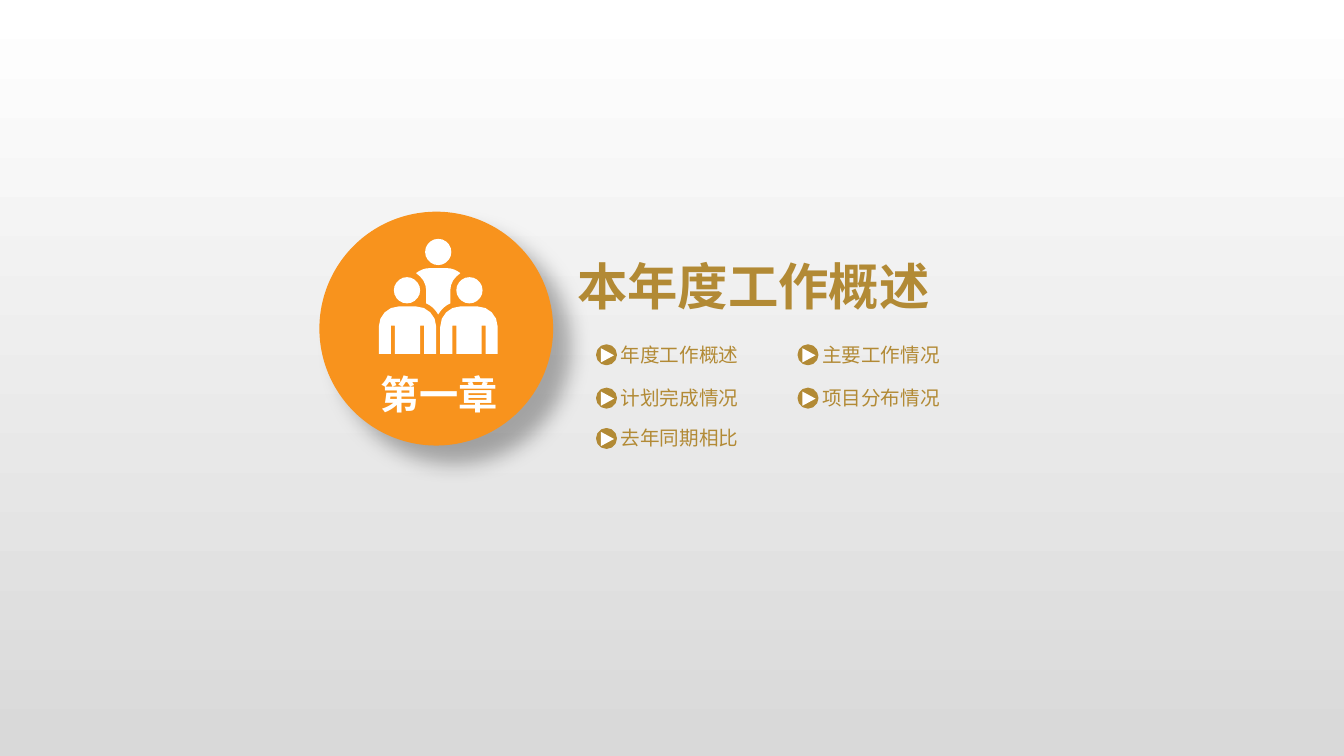
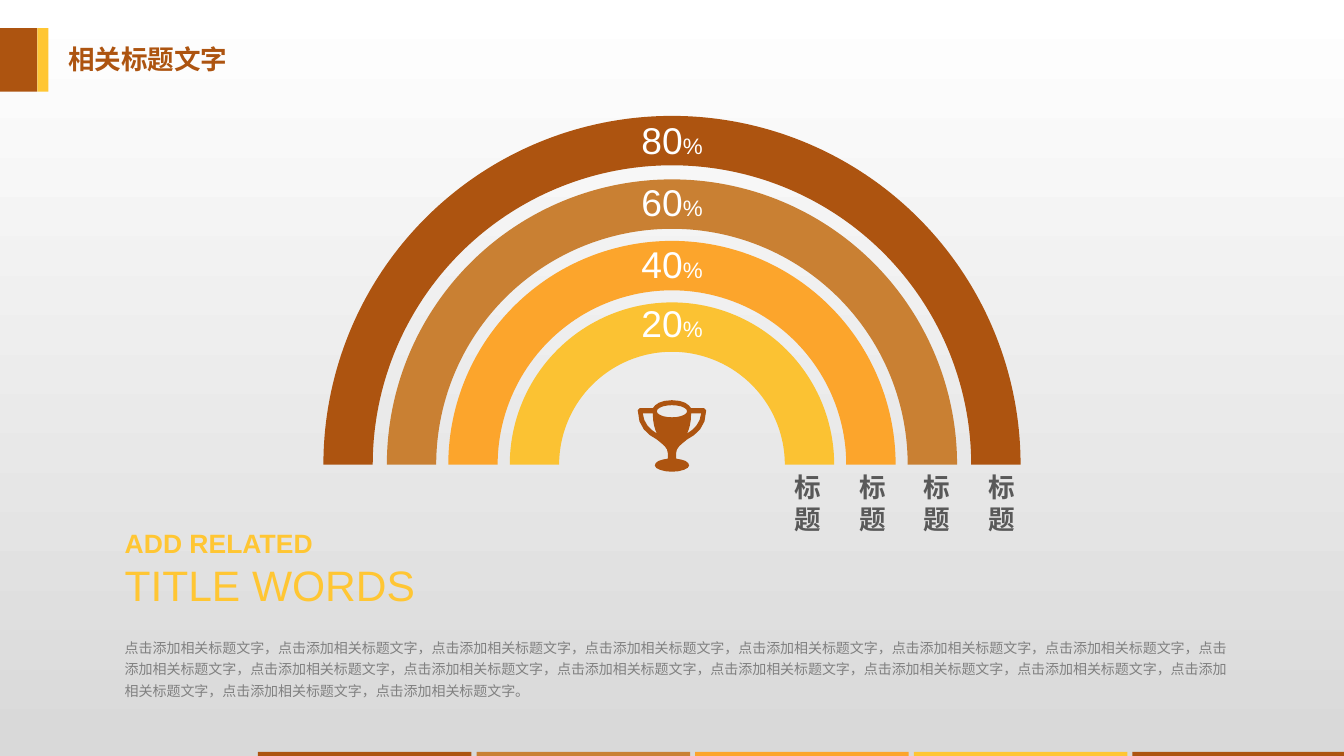
from math import cos, pi, sin

from lxml import etree
from pptx import Presentation
from pptx.dml.color import RGBColor
from pptx.enum.shapes import MSO_SHAPE
from pptx.enum.text import MSO_ANCHOR, PP_ALIGN
from pptx.oxml.ns import qn
from pptx.util import Inches, Pt

# Shared look
WIDTH, HEIGHT = 13.34, 7.5
WHITE = RGBColor(0xFF, 0xFF, 0xFF)
PALE_GRAY = RGBColor(0xD9, 0xD9, 0xD9)
MID_GRAY = RGBColor(0x80, 0x80, 0x80)
DARK_GRAY = RGBColor(0x59, 0x59, 0x59)
BADGE_ORANGE = RGBColor(0xF8, 0x93, 0x1D)
GOLD = RGBColor(0xB2, 0x8A, 0x35)
BROWN = RGBColor(0xAD, 0x54, 0x10)
TAN = RGBColor(0xC9, 0x80, 0x33)
ORANGE = RGBColor(0xFC, 0xA5, 0x2C)
ARCH_YELLOW = RGBColor(0xFB, 0xC2, 0x33)
YELLOW = RGBColor(0xFF, 0xC6, 0x33)
SANS, CJK = "Arial", "Noto Sans CJK SC"

# Content
CHAPTER, CHAPTER_TITLE = "第一章", "本年度工作概述"
TOPIC_ROWS = [
    (3.40, ["年度工作概述", "主要工作情况"]),
    (3.83, ["计划完成情况", "项目分布情况"]),
    (4.23, ["去年同期相比"]),
]
PAGE_TITLE = "相关标题文字"
ARCHES = [  # value, top of the value, outer radius, colour
    ("80", 1.11, 3.46, BROWN),
    ("60", 1.73, 2.83, TAN),
    ("40", 2.34, 2.22, ORANGE),
    ("20", 2.93, 1.61, ARCH_YELLOW),
]
ARCH_LABELS = ["标题"] * 4
HEADING = ("ADD RELATED", "TITLE WORDS")
BODY = "，".join(["点击添加相关标题文字"] * 17) + "。"
FOOTER_COLORS = [BROWN, TAN, ORANGE, YELLOW, BROWN]

# Icon outlines: a pair is a corner, six numbers are a Bézier curve
PEOPLE_AXIS = 4.35
SITTER = [
    (3.76, 3.51), (3.76, 3.24), (3.76, 3.13, 3.85, 3.04, 3.96, 3.04),
    (4.13, 3.04), (4.24, 3.04, 4.33, 3.13, 4.33, 3.24), (4.33, 3.51),
    (4.21, 3.51), (4.21, 3.23), (4.17, 3.23), (4.17, 3.51),
    (3.92, 3.51), (3.92, 3.23), (3.88, 3.23), (3.88, 3.51),
]
LEADER_HALF = [
    (4.35, 2.66), (4.27, 2.66), (4.21, 2.66, 4.17, 2.68, 4.13, 2.71),
    (4.19, 2.75, 4.23, 2.81, 4.23, 2.88), (4.23, 3.01),
    (4.28, 3.03, 4.32, 3.07, 4.35, 3.12),
]
TROPHY_AXIS = 6.67
TROPHY_HALF = [
    (6.67, 3.97), (6.78, 3.97, 6.84, 4.01, 6.86, 4.05), (6.99, 4.05),
    (7.01, 4.07), (7.01, 4.24, 6.91, 4.31, 6.82, 4.36),
    (6.76, 4.41, 6.71, 4.44, 6.71, 4.50), (6.71, 4.55),
    (6.79, 4.56, 6.84, 4.58, 6.84, 4.62),
    (6.84, 4.65, 6.76, 4.68, 6.67, 4.68),
]
TROPHY_HANDLE = [
    (6.82, 4.30), (6.84, 4.26, 6.86, 4.19, 6.86, 4.10), (6.96, 4.10),
    (6.95, 4.20, 6.89, 4.26, 6.82, 4.30),
]


# Outline helpers
def trace(outline, steps=4):
    points = []
    for item in outline:
        if len(item) == 2:
            points.append(item)
            continue
        (x0, y0), (x1, y1, x2, y2, x3, y3) = points[-1], item
        for step in range(1, steps + 1):
            t = step / steps
            a, b, c, d = (1 - t) ** 3, 3 * t * (1 - t) ** 2, 3 * t * t * (1 - t), t ** 3
            points.append((a * x0 + b * x1 + c * x2 + d * x3,
                           a * y0 + b * y1 + c * y2 + d * y3))
    return points


def mirror(points, axis):
    return [(2 * axis - x, y) for x, y in reversed(points)]


def oval(x, y, radius_x, radius_y, steps=20):
    angles = [2 * pi * step / steps for step in range(steps)]
    return [(x + radius_x * cos(angle), y + radius_y * sin(angle)) for angle in angles]


# Drawing helpers
def paint(shape, color):
    shape.shadow.inherit = False
    shape.fill.solid()
    shape.fill.fore_color.rgb = color
    shape.line.fill.background()
    return shape


def add_shape(page, kind, left, top, width, height, color):
    shape = page.shapes.add_shape(
        kind, Inches(left), Inches(top), Inches(width), Inches(height))
    return paint(shape, color)


def add_icon(page, contours, color):
    units = 1000
    scaled = [[(x * units, y * units) for x, y in points] for points in contours]
    builder = page.shapes.build_freeform(*scaled[0][0], scale=Inches(1) / units)
    for index, points in enumerate(scaled):
        if index:
            builder.move_to(*points[0])
        builder.add_line_segments(points[1:], close=True)
    return paint(builder.convert_to_shape(), color)


def add_text(page, at, paragraphs, *, size=18, color=WHITE, font=SANS, bold=False,
             align=PP_ALIGN.LEFT, anchor=MSO_ANCHOR.TOP, inset=None, wrap=True,
             spacing=None):
    """Each paragraph is a list of (text, format overrides) spans."""
    if isinstance(paragraphs, str):
        paragraphs = [[(paragraphs, {})]]
    box = page.shapes.add_textbox(*(Inches(length) for length in at))
    frame = box.text_frame
    frame.word_wrap, frame.vertical_anchor = wrap, anchor
    if inset is not None:
        frame.margin_left = frame.margin_right = Inches(inset)
        frame.margin_top = frame.margin_bottom = Inches(inset)
    for index, spans in enumerate(paragraphs):
        para = frame.add_paragraph() if index else frame.paragraphs[0]
        para.alignment, para.line_spacing = align, spacing
        for text, changes in spans:
            span = para.add_run()
            span.text = text
            span.font.name = font
            span.font.size = Pt(changes.get("size", size))
            span.font.bold = changes.get("bold", bold)
            span.font.color.rgb = color
            east_asian = etree.Element(qn("a:ea"), typeface=font)
            span.font._element.find(qn("a:latin")).addnext(east_asian)
    return box


def add_soft_shadow(shape, blur, distance, degrees, opacity):
    effects = shape._element.spPr.find(qn("a:effectLst"))
    shadow = etree.SubElement(
        effects, qn("a:outerShdw"), blurRad=str(Pt(blur)), dist=str(Pt(distance)),
        dir=str(degrees * 60000), algn="tl", rotWithShape="0")
    tone = etree.SubElement(shadow, qn("a:srgbClr"), val="000000")
    etree.SubElement(tone, qn("a:alpha"), val=str(opacity * 1000))


def set_background(deck):
    fill = deck.slide_master.background.fill
    fill.gradient()
    fill.gradient_angle = 270
    for stop, position, color in zip(fill.gradient_stops, (0, 0.99), (WHITE, PALE_GRAY)):
        stop.position, stop.color.rgb = position, color


def add_frame(page, title):
    # Title flag and footer bands
    add_shape(page, MSO_SHAPE.RECTANGLE, 0.37, 0.28, 0.11, 0.63, YELLOW)
    add_shape(page, MSO_SHAPE.RECTANGLE, 0, 0.28, 0.37, 0.63, BROWN)
    add_text(page, (0.58, 0.38, 1.97, 0.42), title, size=19, color=BROWN, bold=True)
    first, band, gap, thick = 2.56, 2.12, 0.05, 0.05
    for index, color in enumerate(FOOTER_COLORS):
        add_shape(page, MSO_SHAPE.RECTANGLE, first + index * (band + gap),
                  HEIGHT - thick + 0.01, band, thick, color)


# Slides
def add_topic(page, left, top, text):
    add_text(page, (left + 0.23, top, 1.34, 0.24), text, size=14, color=GOLD,
             font=CJK, inset=0)
    disc = add_shape(page, MSO_SHAPE.OVAL, left, top + 0.03, 0.18, 0.18, GOLD)
    disc.line.color.rgb, disc.line.width = GOLD, Pt(2)
    arrow = add_shape(page, MSO_SHAPE.ISOSCELES_TRIANGLE, left + 0.03, top + 0.06,
                      0.14, 0.13, WHITE)
    arrow.rotation = 90


def build_chapter(page):
    badge = add_shape(page, MSO_SHAPE.OVAL, 3.17, 2.1, 2.32, 2.32, BADGE_ORANGE)
    add_soft_shadow(badge, blur=15, distance=18, degrees=45, opacity=30)
    add_text(page, (3.68, 3.61, 1.42, 0.6), CHAPTER, size=28, font=CJK, bold=True,
             anchor=MSO_ANCHOR.MIDDLE)

    # People icon
    sitter, leader = trace(SITTER), trace(LEADER_HALF)
    heads = [oval(x, y, 0.13, 0.13) for x, y in ((4.35, 2.5), (4.04, 2.88), (4.66, 2.88))]
    add_icon(page, [sitter, mirror(sitter, PEOPLE_AXIS),
                    leader + mirror(leader, PEOPLE_AXIS), *heads], WHITE)

    # Title and topics
    add_text(page, (5.63, 2.57, 4.39, 0.52), CHAPTER_TITLE, size=36, color=GOLD,
             font=CJK, bold=True, anchor=MSO_ANCHOR.MIDDLE)
    for top, topics in TOPIC_ROWS:
        for column, topic in enumerate(topics):
            add_topic(page, 5.93 + 2 * column, top, topic)


def build_arches(page):
    add_frame(page, PAGE_TITLE)

    # Concentric arches with their values
    center_x, base, thick = WIDTH / 2, 4.61, 0.49
    for value, value_top, radius, color in ARCHES:
        arch = add_shape(page, MSO_SHAPE.BLOCK_ARC, center_x - radius, base - radius,
                         2 * radius, 2 * radius, color)
        arch.adjustments[2] = thick / (2 * radius)
        add_text(page, (center_x - 0.41, value_top, 0.82, 0.55),
                 [[(value, {}), ("%", {"size": 16})]], size=26.6,
                 align=PP_ALIGN.CENTER, wrap=False)
    for index, label in enumerate(ARCH_LABELS):
        add_text(page, (7.79 + 0.64 * index, 4.62, 0.42, 0.74), label, size=19,
                 color=DARK_GRAY, bold=True, align=PP_ALIGN.CENTER)

    # Trophy icon
    cup, handle = trace(TROPHY_HALF), trace(TROPHY_HANDLE)
    add_icon(page, [cup + mirror(cup, TROPHY_AXIS), handle, mirror(handle, TROPHY_AXIS),
                    oval(TROPHY_AXIS, 4.08, 0.15, 0.06)], BROWN)

    # Heading and body
    first, second = HEADING
    add_text(page, (1.14, 5.18, 4, 0.93),
             [[(first, {"size": 18.9, "bold": True})], [(second, {})]],
             size=30.4, color=YELLOW)
    add_text(page, (1.14, 6.24, 11.13, 0.75), BODY, size=10, color=MID_GRAY, spacing=1.3)


def main():
    deck = Presentation()
    deck.slide_width, deck.slide_height = Inches(WIDTH), Inches(HEIGHT)
    set_background(deck)
    for build in (build_chapter, build_arches):
        build(deck.slides.add_slide(deck.slide_layouts[6]))
    deck.save("out.pptx")


if __name__ == "__main__":
    main()
